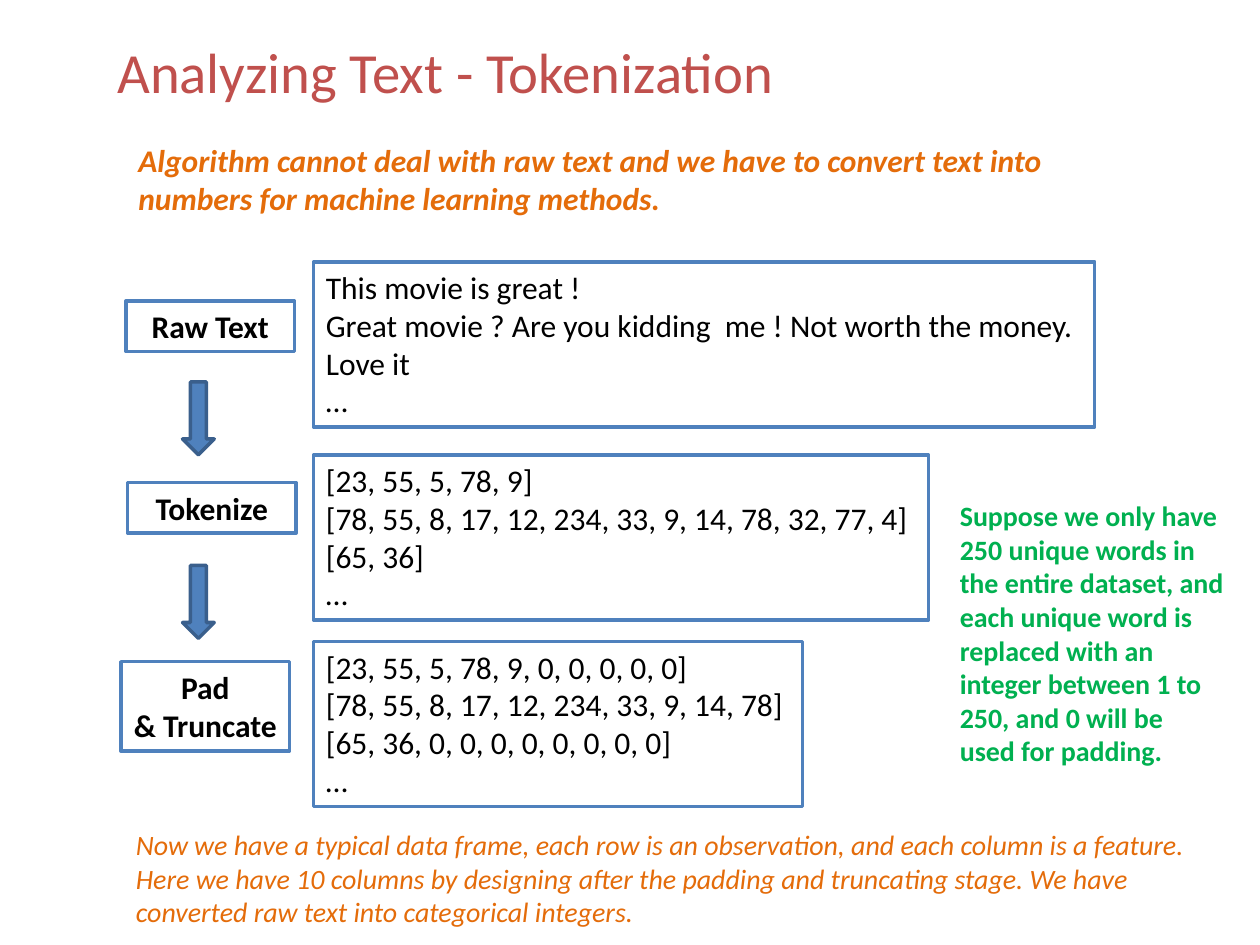
from dataclasses import dataclass

from pptx import Presentation
from pptx.dml.color import RGBColor
from pptx.enum.shapes import MSO_SHAPE
from pptx.enum.text import MSO_ANCHOR, MSO_AUTO_SIZE, PP_ALIGN
from pptx.util import Cm, Pt

RECTANGLE = MSO_SHAPE.RECTANGLE
DOWN_ARROW = MSO_SHAPE.DOWN_ARROW
LEFT, CENTER = PP_ALIGN.LEFT, PP_ALIGN.CENTER
TOP, MIDDLE = MSO_ANCHOR.TOP, MSO_ANCHOR.MIDDLE
NO_FIT = MSO_AUTO_SIZE.NONE
TITLE_ONLY = 5


@dataclass(frozen=True)
class Theme:
    """Colours, font and type sizes of the slide."""

    font: str = "Calibri"
    title: str = "C0504D"
    accent: str = "E46C0A"
    remark: str = "00B050"
    ink: str = "000000"
    paper: str = "FFFFFF"
    blue: str = "4F81BD"
    dark_blue: str = "3A5F8C"
    title_size: float = 32.4
    body_size: float = 18
    note_size: float = 16
    line_width: float = 2


class SlideBuilder:
    """Draws styled elements on the current slide."""

    def __init__(self, slide, theme):
        self.slide = slide
        self.theme = theme

    def add_lines(self, shape, lines, size, color, bold=False, italic=False,
                  align=LEFT, anchor=TOP, wrap=True):
        """Fill a shape with one paragraph per line."""
        frame = shape.text_frame
        frame.auto_size = NO_FIT
        frame.word_wrap = wrap
        frame.vertical_anchor = anchor
        for index, line in enumerate(lines):
            para = frame.add_paragraph() if index else frame.paragraphs[0]
            para.alignment = align
            span = para.add_run()
            span.text = line
            span.font.name = self.theme.font
            span.font.size = Pt(size)
            span.font.bold = bold
            span.font.italic = italic
            span.font.color.rgb = RGBColor.from_string(color)

    def title(self, text, left, top, width, height):
        """Place and format the title placeholder."""
        title = self.slide.shapes.title
        title.left, title.top = Cm(left), Cm(top)
        title.width, title.height = Cm(width), Cm(height)
        self.add_lines(title, [text], self.theme.title_size, self.theme.title, anchor=MIDDLE)

    def text(self, text, left, top, width, height, size, color, **style):
        """Add a wrapping text box."""
        box = self.slide.shapes.add_textbox(Cm(left), Cm(top), Cm(width), Cm(height))
        self.add_lines(box, [text], size, color, **style)

    def shape(self, kind, left, top, width, height, fill, line):
        """Add a filled and outlined preset shape."""
        shape = self.slide.shapes.add_shape(kind, Cm(left), Cm(top), Cm(width), Cm(height))
        shape.shadow.inherit = False
        shape.fill.solid()
        shape.fill.fore_color.rgb = RGBColor.from_string(fill)
        shape.line.color.rgb = RGBColor.from_string(line)
        shape.line.width = Pt(self.theme.line_width)
        return shape

    def panel(self, lines, left, top, width, height, **style):
        """Add an outlined white box with text."""
        theme = self.theme
        box = self.shape(RECTANGLE, left, top, width, height, theme.paper, theme.blue)
        self.add_lines(box, lines, theme.body_size, theme.ink, wrap=False, **style)

    def arrow(self, left, top, width, height):
        """Add a block arrow pointing down."""
        self.shape(DOWN_ARROW, left, top, width, height, self.theme.blue, self.theme.dark_blue)


STAGES = [
    (["Raw Text"], (2.54, 6.07, 3.4, 1.02), 5.28, 15.75,
     ["This movie is great !",
      "Great movie ? Are you kidding  me ! Not worth the money.",
      "Love it", "…"]),
    (["Tokenize"], (2.57, 9.73, 3.4, 1.02), 9.17, 12.4,
     ["[23, 55, 5, 78, 9]",
      "[78, 55, 8, 17, 12, 234, 33, 9, 14, 78, 32, 77, 4]",
      "[65, 36]", "…"]),
    (["Pad", "& Truncate"], (2.44, 13.34, 3.4, 1.8), 12.93, 9.86,
     ["[23, 55, 5, 78, 9, 0, 0, 0, 0, 0]",
      "[78, 55, 8, 17, 12, 234, 33, 9, 14, 78]",
      "[65, 36, 0, 0, 0, 0, 0, 0, 0, 0]", "…"]),
]


def main():
    """Build and save the tokenization slide."""
    deck = Presentation()
    deck.slide_width, deck.slide_height = Cm(25.4), Cm(19.05)
    theme = Theme()
    page = SlideBuilder(deck.slides.add_slide(deck.slide_layouts[TITLE_ONLY]), theme)

    page.title("Analyzing Text - Tokenization", 2.11, 0.74, 22.43, 1.37)
    page.text("Algorithm cannot deal with raw text and we have to convert text into "
              "numbers for machine learning methods.",
              2.54, 2.72, 19.25, 1.8, theme.body_size, theme.accent, bold=True, italic=True)

    for label, label_place, top, width, example in STAGES:
        page.panel(label, *label_place, bold=True, align=CENTER)
        page.panel(example, 6.32, top, width, 3.33)
    for top in (7.7, 11.4):
        page.arrow(3.68, top, 0.64, 1.47)

    page.text("Now we have a typical data frame, each row is an observation, and each "
              "column is a feature. Here we have 10 columns by designing after the padding "
              "and truncating stage. We have converted raw text into categorical integers.",
              2.49, 16.56, 21.82, 2.31, theme.note_size, theme.accent, italic=True)
    page.text("Suppose we only have 250 unique words in the entire dataset, and each unique "
              "word is replaced with an integer between 1 to 250, and 0 will be used for "
              "padding.",
              19.1, 9.93, 5.82, 5.74, theme.note_size, theme.remark, bold=True)

    deck.save("out.pptx")


if __name__ == "__main__":
    main()
